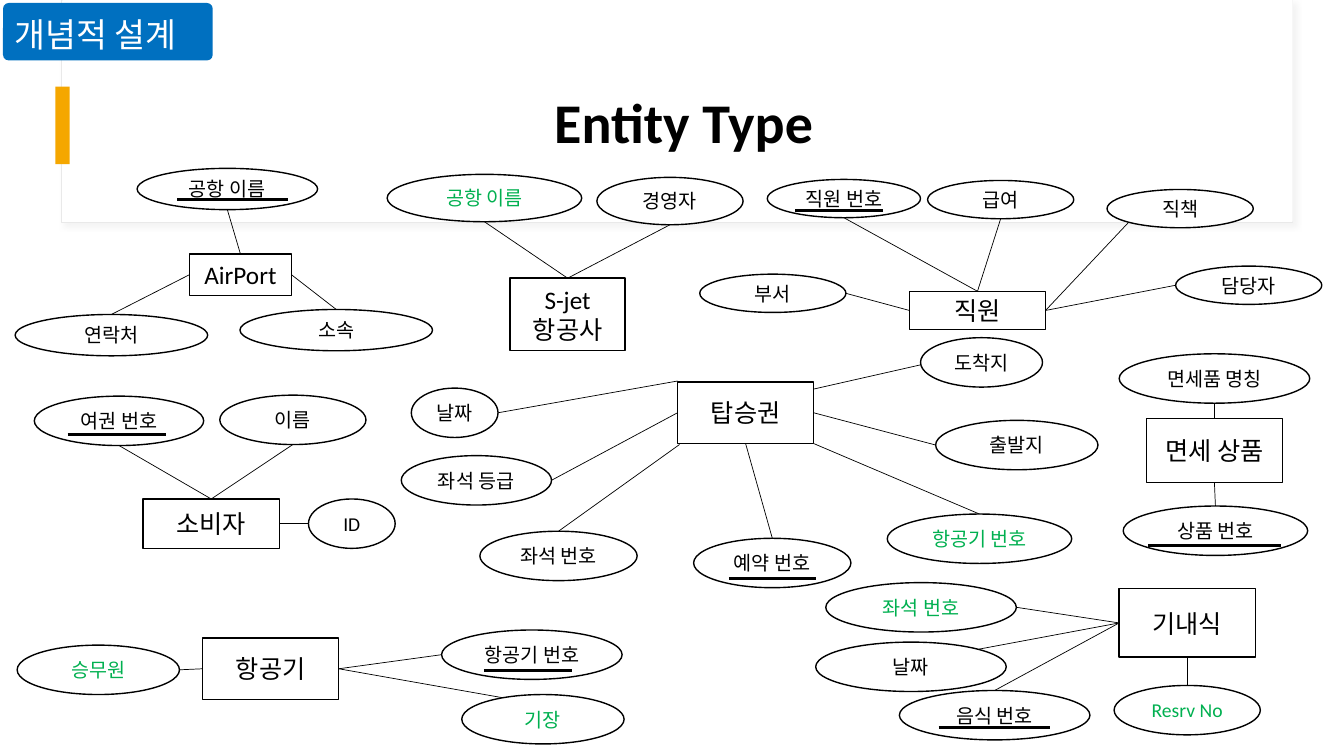
from pptx import Presentation
from pptx.dml.color import RGBColor
from pptx.enum.shapes import MSO_CONNECTOR, MSO_SHAPE
from pptx.enum.text import MSO_ANCHOR, PP_ALIGN
from pptx.oxml import parse_xml
from pptx.oxml.ns import nsdecls
from pptx.util import Inches, Pt

RECT, OVAL, ROUNDED = MSO_SHAPE.RECTANGLE, MSO_SHAPE.OVAL, MSO_SHAPE.ROUNDED_RECTANGLE
STRAIGHT = MSO_CONNECTOR.STRAIGHT
CENTER, LEFT_ALIGN = PP_ALIGN.CENTER, PP_ALIGN.LEFT
MIDDLE, TOP_ANCHOR = MSO_ANCHOR.MIDDLE, MSO_ANCHOR.TOP
TOP, LEFT, BOTTOM, RIGHT = range(4)
SIDE_FRACTIONS = [(0.5, 0), (0, 0.5), (0.5, 1), (1, 0.5)]
BLACK, WHITE, GREEN, BLUE, ORANGE = "000000", "FFFFFF", "00B050", "0070C0", "F5A700"
rgb = RGBColor.from_string

prs = Presentation()
prs.slide_width, prs.slide_height = Inches(13.33), Inches(7.5)
slide = prs.slides.add_slide(prs.slide_layouts[6])
shapes = slide.shapes


def add_box(kind, bounds, fill=WHITE, outline=None, width=1, text="", size=14,
            colour=BLACK, bold=False, align=CENTER, anchor=MIDDLE, spacing=None):
    """Add a shape, or a plain text box when kind is None."""
    place = [Inches(value) for value in bounds]
    if kind is None:
        box = shapes.add_textbox(*place)
    else:
        box = shapes.add_shape(kind, *place)
        box.shadow.inherit = False
        box.fill.solid()
        box.fill.fore_color.rgb = rgb(fill)
        if outline:
            box.line.color.rgb = rgb(outline)
            box.line.width = Pt(width)
        else:
            box.line.fill.background()
    if text:
        frame = box.text_frame
        frame.word_wrap = True
        frame.vertical_anchor = anchor
        paragraph = frame.paragraphs[0]
        paragraph.alignment = align
        paragraph.line_spacing = spacing
        run = paragraph.add_run()
        run.text = text
        font_format = {"name": "Calibri", "size": Pt(size), "bold": bold}
        for attribute, value in font_format.items():
            setattr(run.font, attribute, value)
        run.font.color.rgb = rgb(colour)
    return box


def add_line(start, end, width):
    line = shapes.add_connector(STRAIGHT, *[Inches(value) for value in (*start, *end)])
    line.line.color.rgb = rgb(BLACK)
    line.line.width = Pt(width)
    line._element.spPr.append(parse_xml(f"<a:effectLst {nsdecls('a')}/>"))
    return line


# Header card with soft shadow, accent bar, title and section tag
card = add_box(RECT, (0.61, 0, 12.21, 2.21), outline="E9E9E9", width=0.75)
effects = card._element.spPr.find("{http://schemas.openxmlformats.org/drawingml/2006/main}effectLst")
effects.append(parse_xml(
    f'<a:outerShdw {nsdecls("a")} blurRad="{Pt(4)}" dist="{Pt(3)}" dir="2700000">'
    '<a:srgbClr val="D9D9D9"><a:alpha val="30000"/></a:srgbClr></a:outerShdw>'))
add_box(RECT, (0.62, 0, 12.2, 2.2))
add_box(RECT, (0.55, 0.86, 0.14, 0.77), fill=ORANGE)
add_box(None, (1.22, 0.6, 11.12, 1.29), text="Entity Type", size=40, bold=True, spacing=0.9)
section_tag = add_box(ROUNDED, (0.03, 0.03, 2.08, 0.57), fill=BLUE, text="개념적 설계", size=24,
                      colour=WHITE, align=LEFT_ALIGN, anchor=TOP_ANCHOR, spacing=1.1)
section_tag.adjustments[0] = 0.1
section_tag.text_frame.paragraphs[0].space_before = Pt(10)

# Entity: name, bounds, attributes
# Attribute: name, bounds, colour, line start on entity, line end on oval (side or point)
entities = [
    ("AirPort", (1.88, 2.52, 1.01, 0.41), [
        ("공항 이름", (1.36, 1.67, 1.79, 0.41), BLACK, TOP, BOTTOM),
        ("연락처", (0.15, 3.12, 1.91, 0.41), BLACK, LEFT, TOP),
        ("소속", (2.38, 3.07, 1.91, 0.41), BLACK, RIGHT, TOP)]),
    ("S-jet 항공사", (5.06, 2.76, 1.14, 0.72), [
        ("공항 이름", (3.84, 1.73, 1.93, 0.47), GREEN, TOP, BOTTOM),
        ("경영자", (5.92, 1.76, 1.45, 0.47), BLACK, TOP, BOTTOM)]),
    ("직원", (9.02, 2.89, 1.35, 0.38), [
        ("직원 번호", (7.61, 1.78, 1.52, 0.38), BLACK, TOP, BOTTOM),
        ("급여", (9.2, 1.79, 1.45, 0.38), BLACK, TOP, BOTTOM),
        ("직책", (10.98, 1.88, 1.45, 0.38), BLACK, RIGHT, (11.19, 2.21)),
        ("담당자", (11.66, 2.64, 1.45, 0.38), BLACK, RIGHT, LEFT),
        ("부서", (6.94, 2.72, 1.45, 0.38), BLACK, LEFT, RIGHT)]),
    ("탑승권", (6.72, 3.79, 1.35, 0.61), [
        ("도착지", (9.13, 3.35, 1.21, 0.49), BLACK, (8.07, 3.86), (9.13, 3.62)),
        ("출발지", (9.28, 4.17, 1.61, 0.49), BLACK, RIGHT, LEFT),
        ("항공기 번호", (8.8, 5.1, 1.83, 0.49), GREEN, (8.07, 4.4), TOP),
        ("예약 번호", (6.88, 5.34, 1.56, 0.49), BLACK, BOTTOM, TOP),
        ("좌석 번호", (4.76, 5.27, 1.56, 0.49), BLACK, (6.74, 4.41), TOP),
        ("좌석 등급", (3.98, 4.52, 1.49, 0.49), BLACK, LEFT, RIGHT),
        ("날짜", (4.08, 3.85, 0.86, 0.49), BLACK, (6.72, 3.78), RIGHT)]),
    ("소비자", (1.42, 4.95, 1.35, 0.49), [
        ("여권 번호", (0.34, 3.93, 1.68, 0.49), BLACK, TOP, BOTTOM),
        ("이름", (2.18, 3.92, 1.45, 0.49), BLACK, TOP, BOTTOM),
        ("ID", (3.06, 4.95, 0.86, 0.49), BLACK, RIGHT, LEFT)]),
    ("항공기", (2.01, 6.33, 1.35, 0.61), [
        ("항공기 번호", (4.38, 6.25, 1.79, 0.49), BLACK, RIGHT, LEFT),
        ("기장", (4.58, 6.89, 1.61, 0.49), GREEN, RIGHT, RIGHT),
        ("승무원", (0.17, 6.4, 1.61, 0.49), GREEN, LEFT, RIGHT)]),
    ("면세 상품", (11.37, 4.15, 1.35, 0.64), [
        ("상품 번호", (11.14, 5.02, 1.83, 0.49), BLACK, BOTTOM, TOP),
        ("면세품 명칭", (11.1, 3.51, 1.89, 0.49), BLACK, TOP, BOTTOM)]),
    ("기내식", (11.1, 5.84, 1.35, 0.68), [
        ("Resrv No", (11.05, 6.8, 1.45, 0.49), GREEN, BOTTOM, TOP),
        ("음식 번호", (8.92, 6.85, 1.89, 0.49), BLACK, LEFT, TOP),
        ("좌석 번호", (8.19, 5.78, 1.89, 0.49), GREEN, LEFT, RIGHT),
        ("날짜", (8.09, 6.37, 1.89, 0.49), BLACK, LEFT, (9.71, 6.44))]),
]

for entity_name, entity_bounds, attributes in entities:
    entity = add_box(RECT, entity_bounds, outline=BLACK, text=entity_name, size=18)
    for name, bounds, colour, start, end in attributes:
        if end in (TOP, LEFT, BOTTOM, RIGHT):
            left, top, width, height = bounds
            across, down = SIDE_FRACTIONS[end]
            end = (left + across * width, top + down * height)
        if start in (TOP, LEFT, BOTTOM, RIGHT):
            add_line(end, end, 0.5).end_connect(entity, start)
        else:
            add_line(start, end, 0.5)
        add_box(OVAL, bounds, outline=BLACK, text=name, colour=colour)

# Key attribute underlines: left, right, height on slide
key_underlines = [
    (1.76, 2.86, 1.98), (7.89, 8.76, 2.09), (7.23, 8.09, 5.74), (0.67, 1.65, 4.31),
    (4.8, 5.67, 6.65), (11.39, 12.71, 5.41), (9.31, 10.41, 7.22),
]
for left, right, y in key_underlines:
    add_line((left, y), (right, y), 2)

prs.save("out.pptx")
